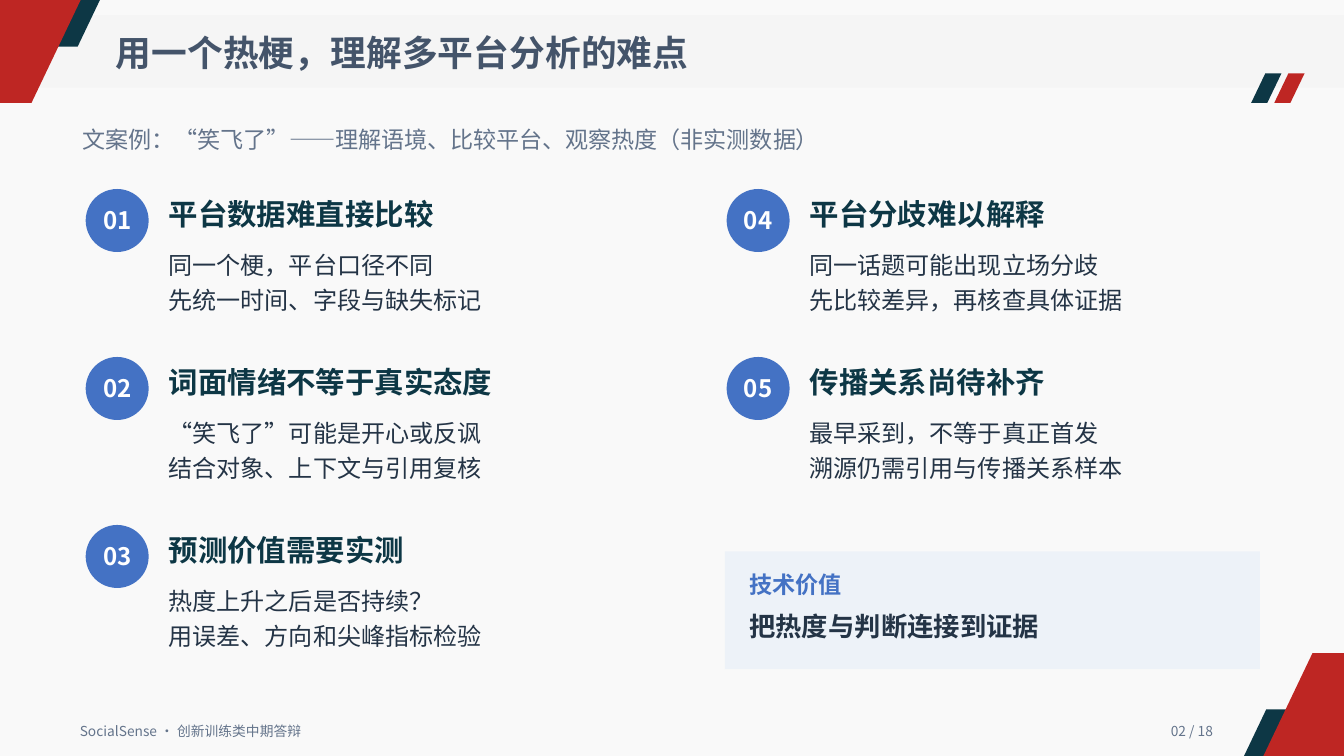
from pptx import Presentation
from pptx.dml.color import RGBColor
from pptx.enum.shapes import MSO_SHAPE
from pptx.enum.text import MSO_ANCHOR, PP_ALIGN
from pptx.oxml.ns import qn
from pptx.util import Inches, Pt
from lxml.etree import SubElement

WIDTH, HEIGHT = Inches(13.33), Inches(7.5)
COLUMNS, ROWS = 160, 90
FONT = "Noto Sans CJK SC"

NAVY = RGBColor(0x0D, 0x37, 0x45)
RED = RGBColor(0xBE, 0x26, 0x23)
BLUE = RGBColor(0x44, 0x72, 0xC4)
PALE_BLUE = RGBColor(0xED, 0xF2, 0xF8)
BACKDROP = RGBColor(0xF5, 0xF5, 0xF5)
BAND = RGBColor(0xF2, 0xF2, 0xF2)
TITLE = RGBColor(0x44, 0x54, 0x6A)
MUTED = RGBColor(0x64, 0x74, 0x8B)
INK = RGBColor(0x24, 0x34, 0x46)
WHITE = RGBColor(0xFF, 0xFF, 0xFF)

ITEM_LEFT, ITEM_TOP = 10.2, 22.5
ITEM_COLUMN_STEP, ITEM_ROW_STEP = 76.3, 20
ITEMS_PER_COLUMN = 3
CHALLENGES = [
    ("平台数据难直接比较", ["同一个梗，平台口径不同", "先统一时间、字段与缺失标记"]),
    ("词面情绪不等于真实态度", ["“笑飞了”可能是开心或反讽", "结合对象、上下文与引用复核"]),
    ("预测价值需要实测", ["热度上升之后是否持续？", "用误差、方向和尖峰指标检验"]),
    ("平台分歧难以解释", ["同一话题可能出现立场分歧", "先比较差异，再核查具体证据"]),
    ("传播关系尚待补齐", ["最早采到，不等于真正首发", "溯源仍需引用与传播关系样本"]),
]


def col(count):
    return round(WIDTH * count / COLUMNS)


def row(count):
    return round(HEIGHT * count / ROWS)


def paint(shape, color, opacity=100):
    shape.shadow.inherit = False
    shape.fill.solid()
    shape.fill.fore_color.rgb = color
    shape.line.fill.background()
    if opacity < 100:
        tint = shape._element.spPr.find(qn("a:solidFill")).find(qn("a:srgbClr"))
        SubElement(tint, qn("a:alpha")).set("val", str(opacity * 1000))


def add_block(slide, preset, left, top, width, height, color, opacity=100, slant=None):
    block = slide.shapes.add_shape(preset, col(left), row(top), col(width), row(height))
    if slant is not None:
        block.adjustments[0] = slant
    paint(block, color, opacity)


def add_text(slide, left, top, width, height, lines, size, color,
             bold=False, align=PP_ALIGN.LEFT, spacing=None):
    box = slide.shapes.add_textbox(col(left), row(top), col(width), row(height))
    frame = box.text_frame
    frame.margin_left = frame.margin_right = frame.margin_top = frame.margin_bottom = 0
    frame.word_wrap = False
    frame.vertical_anchor = MSO_ANCHOR.TOP
    paragraph = frame.paragraphs[0]
    paragraph.alignment = align
    if spacing:
        paragraph.line_spacing = Pt(spacing)
    for index, line in enumerate(lines):
        if index:
            paragraph.add_line_break()
        run = paragraph.add_run()
        run.text = line
        run.font.size = Pt(size)
        run.font.bold = bold
        run.font.color.rgb = color
        run.font.name = FONT
        SubElement(run._r.get_or_add_rPr(), qn("a:ea")).set("typeface", FONT)


def add_corner(slide, top_edge, bottom_edge, depth, color, opposite=False):
    points = [(0, 0), (top_edge, 0), (bottom_edge, depth), (0, depth)]
    if opposite:
        points = [(COLUMNS - x, ROWS - y) for x, y in points]
    vertices = [(col(x), row(y)) for x, y in points]
    outline = slide.shapes.build_freeform(*vertices[0], scale=1.0)
    outline.add_line_segments(vertices[1:], close=True)
    paint(outline.convert_to_shape(), color)


def add_decoration(slide):
    add_block(slide, MSO_SHAPE.RECTANGLE, 0, 0, COLUMNS, ROWS, BACKDROP, 50)
    add_block(slide, MSO_SHAPE.PARALLELOGRAM, 0, 1.8, COLUMNS, 8.64, BAND, 50, 0)
    for index, color in enumerate((NAVY, RED)):
        add_block(slide, MSO_SHAPE.PARALLELOGRAM, 148.95 + index * 2.75, 8.75,
                  3.6, 3.5, color, slant=0.48)
    for opposite in (False, True):
        add_corner(slide, 11.9, 9.25, 5.55, NAVY, opposite)
        add_corner(slide, 9.6, 3.75, 12.25, RED, opposite)


def add_challenge(slide, index, heading, details):
    column, line = divmod(index, ITEMS_PER_COLUMN)
    left = ITEM_LEFT + column * ITEM_COLUMN_STEP
    top = ITEM_TOP + line * ITEM_ROW_STEP
    add_block(slide, MSO_SHAPE.OVAL, left, top, 7.5, 7.5, BLUE)
    add_text(slide, left + 1.9, top + 1.9, 3.7, 4.4, [f"{index + 1:02d}"], 17.2, WHITE,
             True, PP_ALIGN.CENTER)
    add_text(slide, left + 9.9, top + 0.8, len(heading) * 3.75, 5.4, [heading], 21, NAVY, True)
    add_text(slide, left + 9.9, top + 6.6, 51.8, 10, details, 17.2, INK, spacing=25)


def add_conclusion(slide):
    add_block(slide, MSO_SHAPE.RECTANGLE, 86.3, 65.65, 63.7, 14, PALE_BLUE)
    add_text(slide, 89.2, 67.9, 43.8, 4.2, ["技术价值"], 16.5, BLUE, True)
    add_text(slide, 89.2, 72.6, 58.1, 4.8, ["把热度与判断连接到证据"], 18.8, INK, True)


def main():
    deck = Presentation()
    deck.slide_width, deck.slide_height = WIDTH, HEIGHT
    slide = deck.slides.add_slide(deck.slide_layouts[6])
    add_decoration(slide)
    add_text(slide, 13.8, 3.7, 98.2, 6.6, ["用一个热梗，理解多平台分析的难点"], 25.5, TITLE, True)
    add_text(slide, 9.85, 14.9, 140, 4.2,
             ["文案例：“笑飞了”——理解语境、比较平台、观察热度（非实测数据）"], 16.5, MUTED)
    add_text(slide, 9.5, 86, 27.5, 2.5, ["SocialSense · 创新训练类中期答辩"], 9.8, MUTED)
    add_text(slide, 138.5, 86, 5.9, 2.5, ["02 / 18"], 9.8, MUTED, align=PP_ALIGN.RIGHT)
    for index, (heading, details) in enumerate(CHALLENGES):
        add_challenge(slide, index, heading, details)
    add_conclusion(slide)
    deck.save("out.pptx")


if __name__ == "__main__":
    main()
